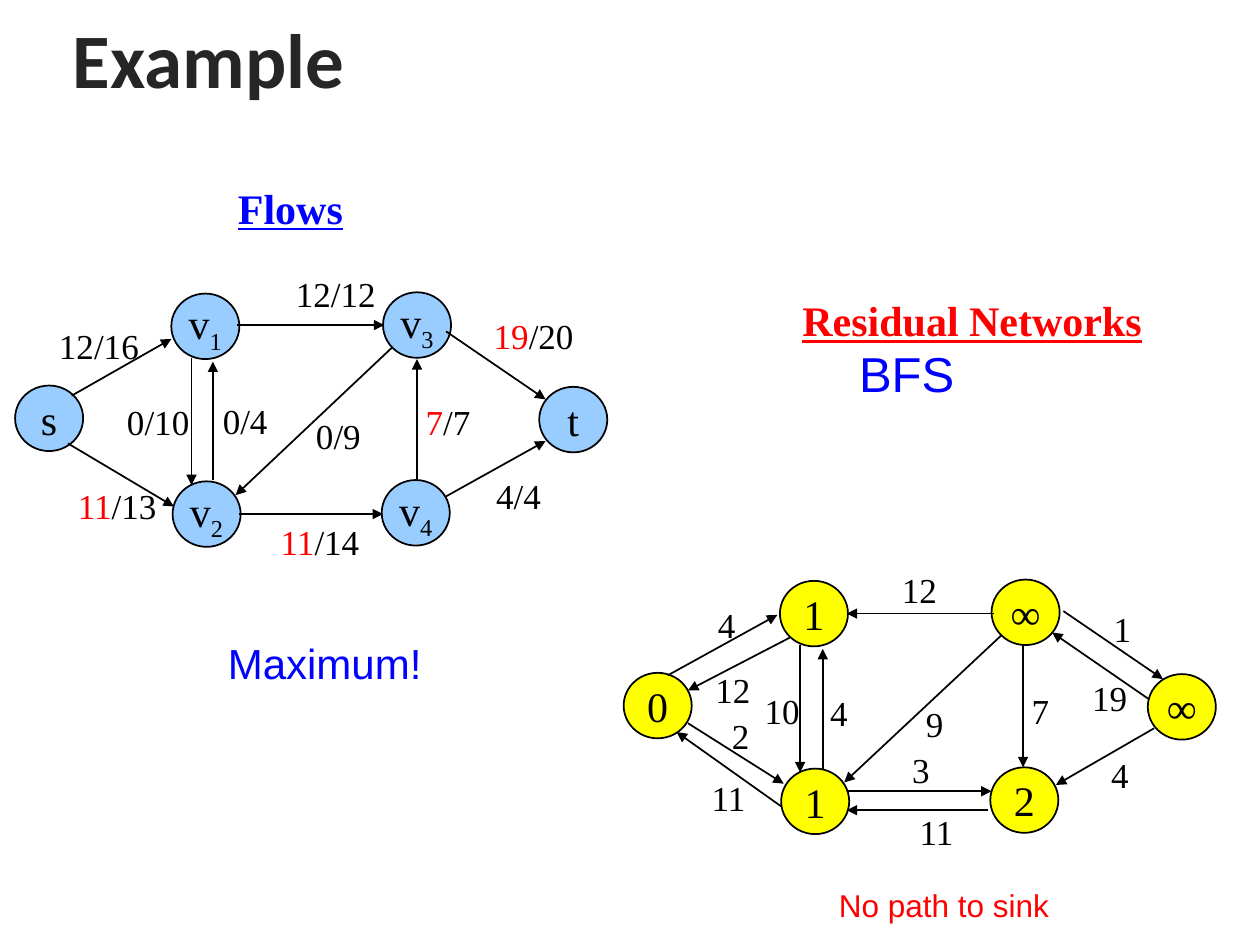
import pptx
import pptx.util
import pptx.dml.color
import pptx.enum.shapes
import pptx.enum.text
import pptx.oxml.ns
from lxml import etree

PX = 9144
BLACK, RED, BLUE, CHARCOAL = "000000", "FF0000", "0000FF", "262626"
SERIF, SANS = "Times New Roman", "Arial"
NODE_SIZE = (54, 52)
LABEL_HEIGHT = 44

HEADINGS = [
    ("Example", (48, 8, 919, 75), dict(size=44, font="Calibri", color=CHARCOAL, bold=True, middle=True)),
    ("Flows", (179, 140, 103, 50), dict(size=24, color=BLUE, bold=True, underline=True, wrap=False, grow=True)),
    ("Residual Networks", (627, 229, 290, 50),
     dict(size=24, color=RED, bold=True, underline=True, wrap=False, grow=True)),
    ("BFS", (672, 268, 216, 57), dict(size=28, font=SANS, color=BLUE, grow=True)),
    ("No path to sink", (656, 698, 221, 40), dict(size=18, font=SANS, color=RED, grow=True)),
    ("Maximum!", (171, 501, 224, 51), dict(size=24, font=SANS, color=BLUE, grow=True)),
]

NODE_PLACES = {"s": (12, 306), "t": (428, 307), "v3": (304, 232),
               "v4": (303, 381), "v2": (137, 382), "v1": (136, 233)}

NETWORKS = [
    {
        "offset": (0, 0),
        "fill": "99CCFF",
        "nodes": {name: name for name in NODE_PLACES},
        "edges": [
            ("12/16", (37, 253), (57, 314), (136, 269)),
            ("*11/13", (52, 380), (54, 352), (138, 402)),
            ("0/10", (91, 313), (152, 284), (152, 385)),
            ("0/4", (167, 312), (169, 381), (169, 287)),
            ("12/12", (225, 211), (188, 258), (305, 258)),
            ("0/9", (241, 324), (311, 276), (187, 393)),
            ("*7/7", (328, 313), (331, 381), (331, 285)),
            ("*11/14", (213, 408), (190, 408), (304, 408)),
            ("*19/20", (382, 245), (354, 263), (433, 317)),
            ("4/4", (384, 372), (354, 394), (433, 350)),
        ],
    },
    {
        "offset": (483, 228),
        "fill": "FFFF00",
        "nodes": {"s": "0", "t": "∞", "v3": "∞", "v4": "2", "v2": "1", "v1": "1"},
        "edges": [
            ("10", (597, 542), (635, 512), (635, 613)),
            ("4", (649, 544), (653, 610), (653, 515)),
            ("12", (706, 446), (789, 487), (672, 487)),
            ("9", (725, 553), (795, 504), (670, 621)),
            ("7", (809, 542), (812, 512), (812, 609)),
            ("3", (714, 589), (673, 628), (787, 628)),
            ("1", (874, 477), (844, 485), (923, 539)),
            ("4", (872, 593), (916, 578), (838, 623)),
            ("4", (560, 474), (530, 536), (617, 488)),
            ("12", (558, 526), (627, 506), (546, 548)),
            ("2", (571, 562), (546, 574), (622, 622)),
            ("11", (555, 611), (620, 640), (537, 581)),
            ("11", (720, 638), (784, 643), (672, 643)),
            ("19", (857, 532), (912, 555), (835, 502)),
        ],
    },
]


def rgb(value):
    return pptx.dml.color.RGBColor.from_string(value)


def emu(*lengths):
    return [pptx.util.Emu(length * PX) for length in lengths]


def write(shape, runs, size=20, font=SERIF, color=BLACK, bold=False, underline=False,
          wrap=True, grow=False, middle=False, centered=False):
    frame = shape.text_frame
    frame.word_wrap = wrap
    if grow:
        frame.auto_size = pptx.enum.text.MSO_AUTO_SIZE.SHAPE_TO_FIT_TEXT
    if middle:
        frame.vertical_anchor = pptx.enum.text.MSO_ANCHOR.MIDDLE
    paragraph = frame.paragraphs[0]
    if centered:
        paragraph.alignment = pptx.enum.text.PP_ALIGN.CENTER
    for text, run_color, subscript in [(runs, color, False)] if isinstance(runs, str) else runs:
        run = paragraph.add_run()
        run.text = text
        run.font.size = pptx.util.Pt(size)
        run.font.name = font
        run.font.bold = bold
        run.font.underline = underline
        run.font.color.rgb = rgb(run_color)
        if subscript:
            run._r.get_or_add_rPr().set("baseline", "-25000")


def add_node(shapes, name, place, fill):
    node = shapes.add_shape(pptx.enum.shapes.MSO_SHAPE.OVAL, *emu(*place, *NODE_SIZE))
    node.shadow.inherit = False
    node.fill.solid()
    node.fill.fore_color.rgb = rgb(fill)
    node.line.color.rgb = rgb(BLACK)
    node.line.width = pptx.util.Pt(1)
    runs = [(name[0], BLACK, False)]
    if name[1:]:
        runs.append((name[1:], BLACK, True))
    write(node, runs, size=24, wrap=False, middle=True, centered=True)


def add_arrow(shapes, start, end):
    arrow = shapes.add_connector(pptx.enum.shapes.MSO_CONNECTOR.STRAIGHT, *emu(*start, *end))
    arrow.line.color.rgb = rgb(BLACK)
    arrow.line.width = pptx.util.Pt(1)
    etree.SubElement(arrow.line._get_or_add_ln(), pptx.oxml.ns.qn("a:tailEnd"), type="triangle")
    etree.SubElement(arrow._element.spPr, pptx.oxml.ns.qn("a:effectLst"))


def add_label(shapes, label, place):
    text = label.lstrip("*")
    flow, slash, capacity = text.partition("/")
    flow_color = RED if label.startswith("*") else BLACK
    runs = [(flow, flow_color, False)]
    if slash:
        runs.append((slash + capacity, BLACK, False))
    width = 20 + 14 * len(flow + capacity) + 8 * len(slash)
    write(shapes.add_textbox(*emu(*place, width, LABEL_HEIGHT)), runs, wrap=False, grow=True)


def main():
    deck = pptx.Presentation()
    deck.slide_width, deck.slide_height = emu(1000, 750)
    shapes = deck.slides.add_slide(deck.slide_layouts[6]).shapes

    for text, box, style in HEADINGS:
        write(shapes.add_textbox(*emu(*box)), text, **style)

    for network in NETWORKS:
        dx, dy = network["offset"]
        for key, (x, y) in NODE_PLACES.items():
            add_node(shapes, network["nodes"][key], (x + dx, y + dy), network["fill"])
        for label, place, start, end in network["edges"]:
            add_arrow(shapes, start, end)
            add_label(shapes, label, place)

    deck.save("out.pptx")


if __name__ == "__main__":
    main()
